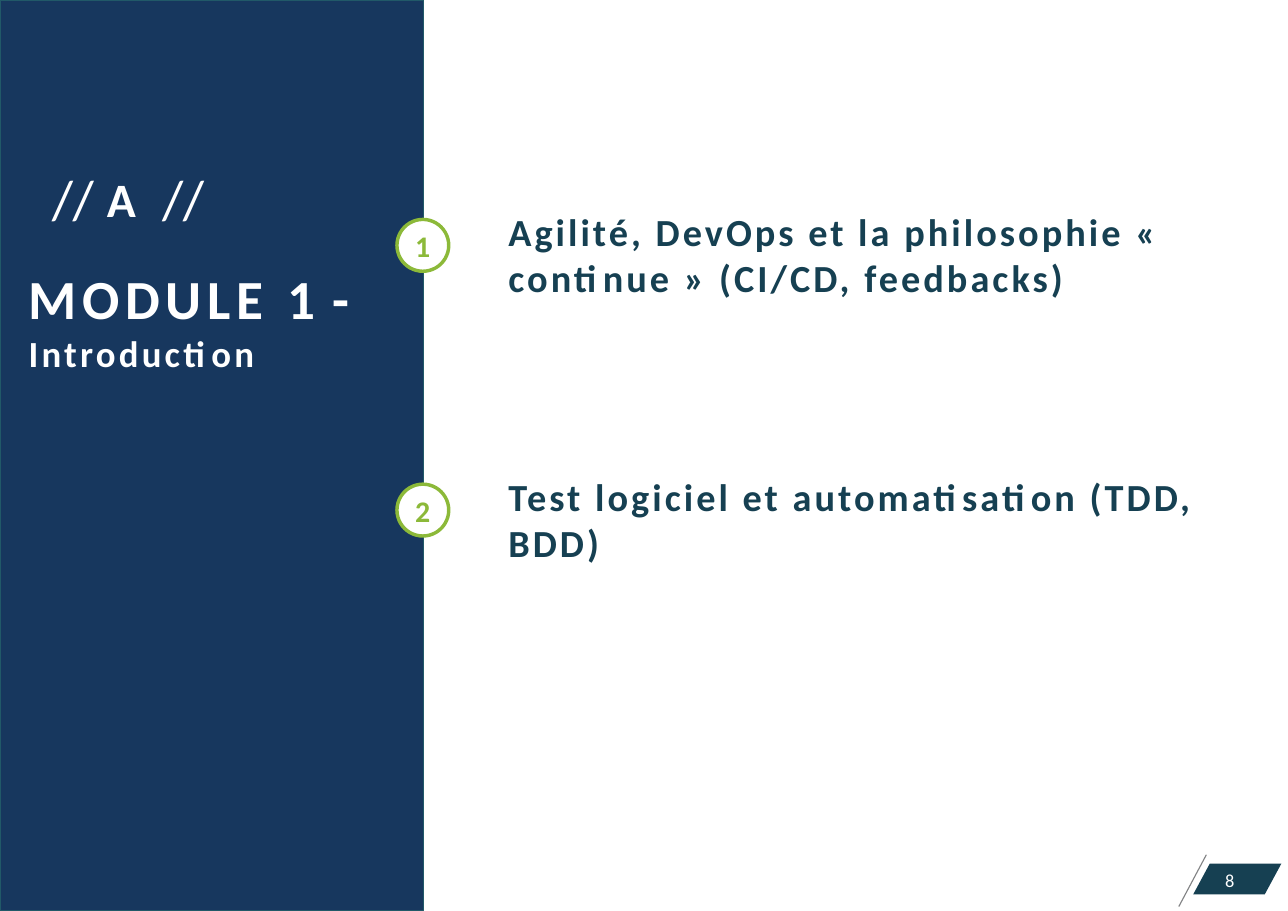
from dataclasses import dataclass

from lxml.etree import SubElement
from pptx import Presentation
from pptx.dml.color import RGBColor
from pptx.enum.shapes import MSO_CONNECTOR, MSO_SHAPE
from pptx.enum.text import MSO_ANCHOR, PP_ALIGN
from pptx.oxml.ns import qn
from pptx.util import Inches, Pt


@dataclass
class Theme:
    font: str = "Calibri"
    navy: RGBColor = RGBColor(0x17, 0x37, 0x5E)
    edge: RGBColor = RGBColor(0x21, 0x59, 0x68)
    teal: RGBColor = RGBColor(0x16, 0x40, 0x52)
    green: RGBColor = RGBColor(0x8C, 0xB9, 0x39)
    gray: RGBColor = RGBColor(0x82, 0x83, 0x85)
    white: RGBColor = RGBColor(0xFF, 0xFF, 0xFF)
    letter: float = 54
    title: float = 36
    topic: float = 25
    subtitle: float = 24
    number: float = 19.5
    footer: float = 12


theme = Theme()
deck = Presentation()
deck.slide_width, deck.slide_height = Inches(11.68), Inches(8.26)
page = deck.slides.add_slide(deck.slide_layouts[6])


def area(left, top, width, height):
    across, down = deck.slide_width / 100, deck.slide_height / 100
    return int(left * across), int(top * down), int(width * across), int(height * down)


def write(para, spans, size, color, bold=False):
    para.font.name = theme.font
    para.font.size = Pt(size)
    para.font.color.rgb = color
    para.font.bold = bold
    for text, spacing in spans:
        span = para.add_run()
        span.text = text
        span.font._element.set("spc", str(int(spacing * 100)))


shapes = {}
for name, kind, place, fill, edge, weight in [
    ("panel", MSO_SHAPE.RECTANGLE, (0, 0, 32.88, 100), theme.navy, theme.edge, 0.75),
    ("footer", MSO_SHAPE.PARALLELOGRAM, (92.64, 94.79, 6.85, 3.39), theme.teal, None, 0),
    ("circle 1", MSO_SHAPE.OVAL, (30.82, 24.09, 4.02, 5.69), theme.white, theme.green, 2.25),
    ("circle 2", MSO_SHAPE.OVAL, (30.82, 53.15, 4.02, 5.69), theme.white, theme.green, 2.25),
]:
    shape = page.shapes.add_shape(kind, *area(*place))
    shape.shadow.inherit = False
    shape.fill.solid()
    shape.fill.fore_color.rgb = fill
    if edge is None:
        shape.line.fill.background()
    else:
        shape.line.color.rgb = edge
        shape.line.width = Pt(weight)
    shapes[name] = shape
shapes["footer"].adjustments[0] = 0.54

slash = page.shapes.add_connector(
    MSO_CONNECTOR.STRAIGHT, *area(93.66, 93.83, 91.52, 99.52))
slash.line.color.rgb = theme.gray
slash.line.width = Pt(0.75)
SubElement(slash._element.spPr, qn("a:effectLst"))

frames = {}
for name, place in [
    ("heading", (2.23, 15.01, 27.23, 26.15)),
    ("topic 1", (39.47, 22.88, 56.93, 10.17)),
    ("topic 2", (39.47, 51.94, 56.93, 10.17)),
    ("page number", (95.12, 95.4, 4, 3)),
]:
    frame = page.shapes.add_textbox(*area(*place)).text_frame
    frame.word_wrap = True
    frame.margin_left = frame.margin_top = frame.margin_right = frame.margin_bottom = 0
    frames[name] = frame

heading = frames["heading"]
mark = heading.paragraphs[0]
properties = mark._p.get_or_add_pPr()
properties.set("marL", str(Inches(0.21)))
properties.set("indent", "0")
tabs = SubElement(properties, qn("a:tabLst"))
for stop in (0.78, 1.3):
    SubElement(tabs, qn("a:tab"), pos=str(Inches(stop)), algn="l")
write(mark, [("//\t", -0.3), ("A\t", 3.1), ("//", -0.3)], theme.title, theme.white)
letter = mark.runs[1].font
letter.size = Pt(theme.letter)
letter.bold = True
letter._element.set("baseline", "2000")

module = heading.add_paragraph()
module.space_before = Pt(18.7)
write(module, [("MODULE ", 3.7), ("1 ", 1.6), ("-", 3.1)], theme.title, theme.white, True)
write(heading.add_paragraph(), [("Introduction", 2.1)], theme.subtitle, theme.white, True)

topics = [
    "Agilité, DevOps et la philosophie « continue » (CI/CD, feedbacks)",
    "Test logiciel et automatisation (TDD, BDD)",
]
for number, topic in enumerate(topics, 1):
    write(frames[f"topic {number}"].paragraphs[0], [(topic, 2)], theme.topic, theme.teal, True)
    badge = shapes[f"circle {number}"].text_frame
    badge.margin_left = badge.margin_top = badge.margin_right = badge.margin_bottom = 0
    badge.vertical_anchor = MSO_ANCHOR.MIDDLE
    badge.paragraphs[0].alignment = PP_ALIGN.CENTER
    write(badge.paragraphs[0], [(str(number), 0.5)], theme.number, theme.green, True)

write(frames["page number"].paragraphs[0], [("8", -0.3)], theme.footer, theme.white)

deck.save("out.pptx")
